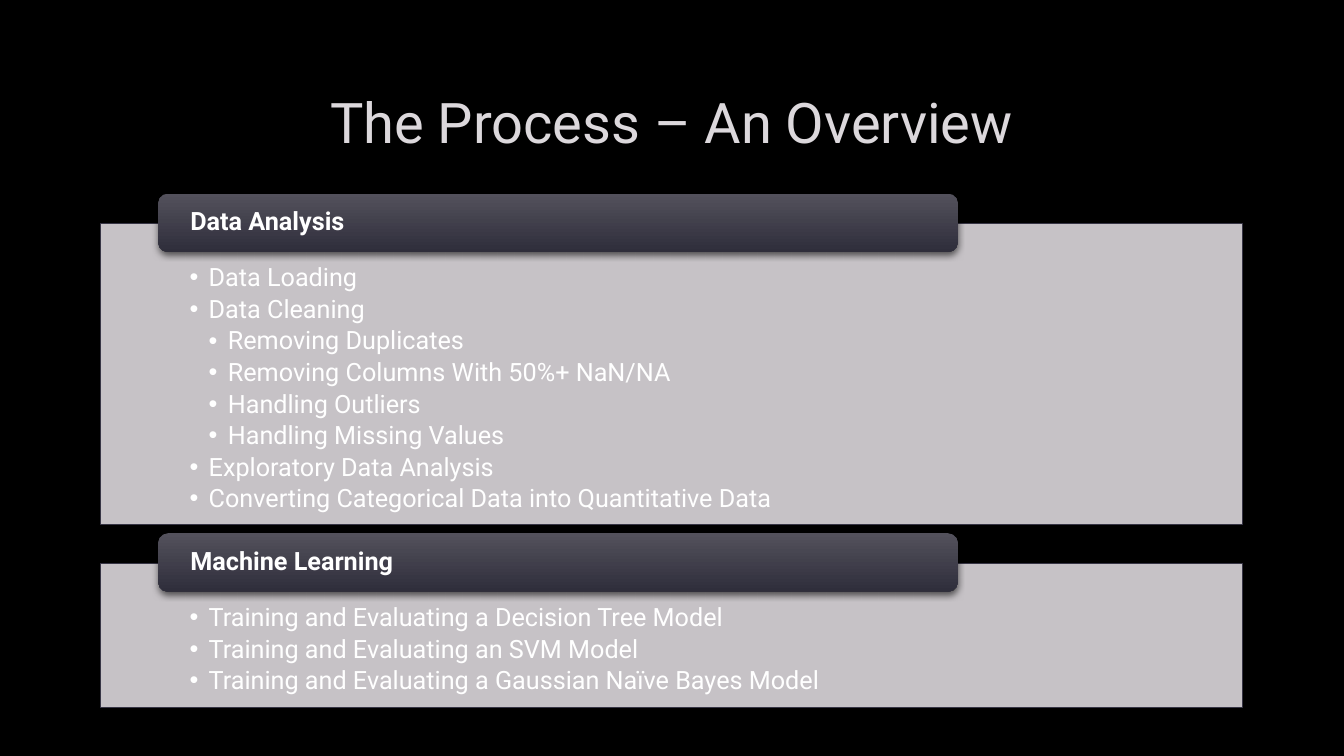
from lxml.etree import SubElement
from pptx import Presentation
from pptx.dml.color import RGBColor
from pptx.enum.shapes import MSO_SHAPE
from pptx.enum.text import MSO_ANCHOR, PP_ALIGN
from pptx.oxml.ns import qn
from pptx.util import Inches, Pt

FONT = "Roboto"
LEFT, WIDTH = 1, 11.32
BAR_HEIGHT, BAR_RISE = 0.58, 0.3
INDENT = 0.19

# Heading, panel top, panel height, (level, text) items
SECTIONS = [
    ("Data Analysis", 2.22, 2.98, [
        (1, "Data Loading"),
        (1, "Data Cleaning"),
        (2, "Removing Duplicates"),
        (2, "Removing Columns With 50%+ NaN/NA"),
        (2, "Handling Outliers"),
        (2, "Handling Missing Values"),
        (1, "Exploratory Data Analysis"),
        (1, "Converting Categorical Data into Quantitative Data"),
    ]),
    ("Machine Learning", 5.59, 1.43, [
        (1, "Training and Evaluating a Decision Tree Model"),
        (1, "Training and Evaluating an SVM Model"),
        (1, "Training and Evaluating a Gaussian Naïve Bayes Model"),
    ]),
]


def rgb(color):
    return RGBColor.from_string(color)


def add_node(parent, tag, **attrs):
    return SubElement(parent, qn(tag), {k: str(v) for k, v in attrs.items()})


def add_color(parent, color, opacity):
    node = add_node(parent, "a:srgbClr", val=color)
    add_node(node, "a:alpha", val=opacity * 1000)


def style_text(p, size, color, bold=False):
    for r in p.runs:
        r.font.name = FONT
        r.font.size = Pt(size)
        r.font.bold = bold
        r.font.color.rgb = rgb(color)


def set_frame(tf, anchor, left, top, right, bottom):
    tf.word_wrap = True
    tf.vertical_anchor = anchor
    tf.margin_left, tf.margin_top = Inches(left), Inches(top)
    tf.margin_right, tf.margin_bottom = Inches(right), Inches(bottom)


def set_bullet(p, level):
    p.level = level
    pPr = p._p.get_or_add_pPr()
    pPr.set("marL", str(Inches(INDENT * level)))
    pPr.set("indent", str(-Inches(INDENT)))
    add_node(pPr, "a:buFont", typeface="Arial")
    add_node(pPr, "a:buChar", char="•")


def add_title(s, text):
    sp = s.shapes.add_textbox(Inches(LEFT), Inches(0.67), Inches(WIDTH), Inches(1.06))
    tf = sp.text_frame
    tf.text = text
    set_frame(tf, MSO_ANCHOR.MIDDLE, 0.1, 0.05, 0.1, 0.05)
    p = tf.paragraphs[0]
    p.alignment = PP_ALIGN.CENTER
    style_text(p, 40, "DCD8DC")
    # Faint outline around the letters
    rPr = p.runs[0].font._element
    ln = add_node(rPr, "a:ln", w=Pt(0.75))
    add_color(add_node(ln, "a:solidFill"), "404040", 10)
    rPr.insert(0, ln)


def add_panel(s, top, height, items):
    sp = s.shapes.add_shape(MSO_SHAPE.RECTANGLE, Inches(LEFT), Inches(top),
                            Inches(WIDTH), Inches(height))
    sp.shadow.inherit = False
    sp.fill.solid()
    sp.fill.fore_color.rgb = rgb("DCD8DC")
    clr = sp._element.spPr.find(qn("a:solidFill")).find(qn("a:srgbClr"))
    add_node(clr, "a:alpha", val=90000)
    sp.line.color.rgb = rgb("373545")
    sp.line.width = Pt(0.75)

    tf = sp.text_frame
    set_frame(tf, MSO_ANCHOR.TOP, 0.88, 0.41, 0.88, 0.14)
    for i, (level, text) in enumerate(items):
        p = tf.add_paragraph() if i else tf.paragraphs[0]
        p.text = text
        p.alignment = PP_ALIGN.LEFT
        p.line_spacing = 0.9
        p.space_after = Pt(3.1)
        set_bullet(p, level)
        style_text(p, 18, "FFFFFF")


def add_heading_bar(s, top, text):
    sp = s.shapes.add_shape(MSO_SHAPE.ROUNDED_RECTANGLE, Inches(1.57), Inches(top),
                            Inches(7.93), Inches(BAR_HEIGHT))
    sp.line.fill.background()
    sp.fill.gradient()
    sp.fill.gradient_angle = 270
    for stop, color, position in zip(sp.fill.gradient_stops, ("53515C", "2F2E3B"), (0, 1)):
        stop.color.rgb = rgb(color)
        stop.position = position
    # Soft shadow straight below
    sp.shadow.inherit = False
    effects = sp._element.spPr.find(qn("a:effectLst"))
    shadow = add_node(effects, "a:outerShdw", blurRad=Pt(5), dist=Pt(2),
                      dir=5400000, algn="ctr", rotWithShape=0)
    add_color(shadow, "000000", 60)

    tf = sp.text_frame
    tf.text = text
    set_frame(tf, MSO_ANCHOR.MIDDLE, 0.29, 0, 0.29, 0)
    p = tf.paragraphs[0]
    p.alignment = PP_ALIGN.LEFT
    p.line_spacing = 0.9
    style_text(p, 18, "FFFFFF", bold=True)


def main():
    prs = Presentation()
    prs.slide_width, prs.slide_height = Inches(13.33), Inches(7.5)
    s = prs.slides.add_slide(prs.slide_layouts[6])
    s.background.fill.solid()
    s.background.fill.fore_color.rgb = rgb("000000")

    add_title(s, "The Process – An Overview")
    for heading, top, height, items in SECTIONS:
        add_panel(s, top, height, items)
        add_heading_bar(s, top - BAR_RISE, heading)

    prs.save("out.pptx")


if __name__ == "__main__":
    main()
